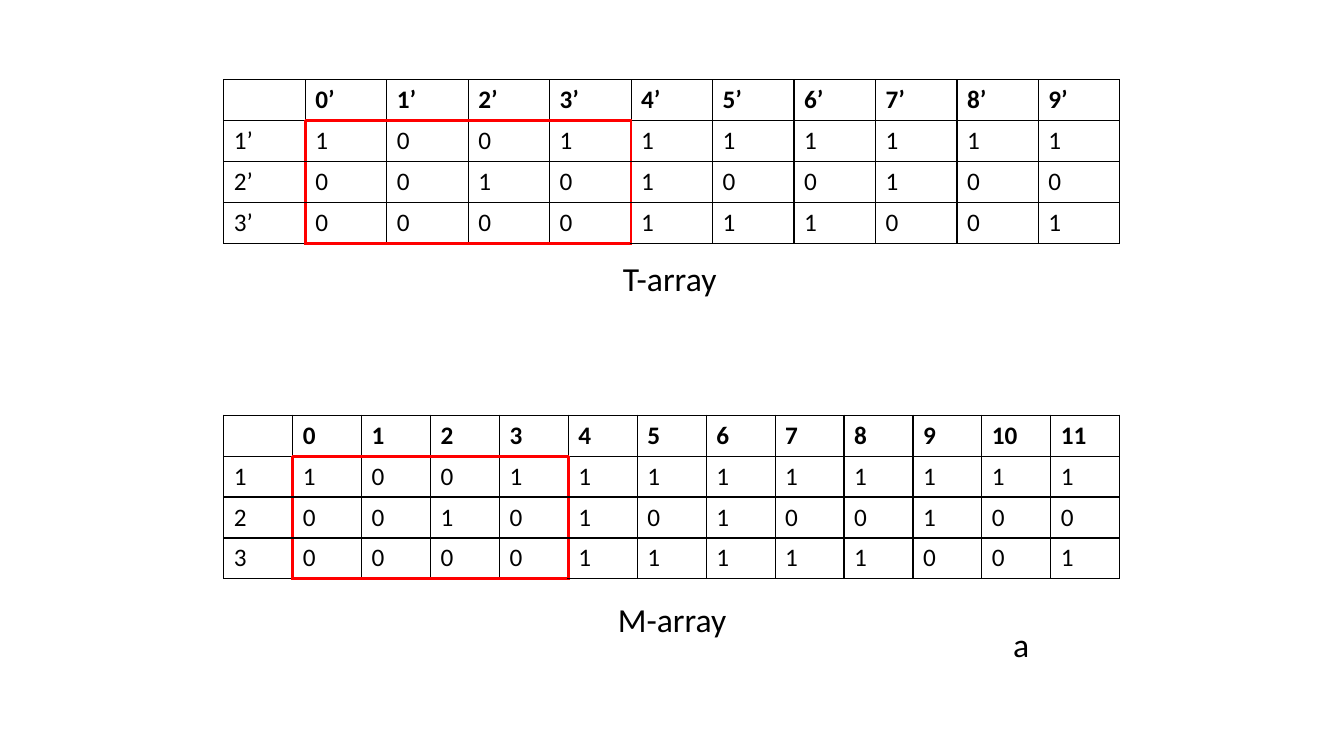
from lxml import etree
from pptx import Presentation
from pptx.dml.color import RGBColor
from pptx.enum.text import MSO_AUTO_SIZE as AutoSize
from pptx.oxml.ns import qn
from pptx.util import Inches, Pt

COLORS = {"text": "000000", "grid": "000000", "frame": "FF0000"}
FONT = "Calibri"
TABLE_LEFT, TABLE_WIDTH, ROW_HEIGHT = 2.22, 8.89, 0.405
FRAME_ROWS = range(1, 4)
FRAME_COLUMNS = range(1, 5)

T_ARRAY = [
    ["", "0’", "1’", "2’", "3’", "4’", "5’", "6’", "7’", "8’", "9’"],
    ["1’", *"1001111111"],
    ["2’", *"0010100100"],
    ["3’", *"0000111001"],
]
M_ARRAY = [
    ["", "0", "1", "2", "3", "4", "5", "6", "7", "8", "9", "10", "11"],
    ["1", *"100111111111"],
    ["2", *"001010100100"],
    ["3", *"000011111001"],
]


def format_text(text_frame, size, bold=False):
    for paragraph in text_frame.paragraphs:
        for run in paragraph.runs:
            run.font.name = FONT
            run.font.size = Pt(size)
            run.font.bold = bold
            run.font.color.rgb = RGBColor.from_string(COLORS["text"])


def add_border(cell, side, framed):
    color, width = (COLORS["frame"], 2.25) if framed else (COLORS["grid"], 1)
    properties = cell._tc.get_or_add_tcPr()
    line = etree.SubElement(properties, qn(f"a:ln{side}"), w=str(Pt(width)))
    fill = etree.SubElement(line, qn("a:solidFill"))
    etree.SubElement(fill, qn("a:srgbClr"), val=color)


def add_borders(cell, row, column):
    row_edges = (FRAME_ROWS.start, FRAME_ROWS.stop)
    column_edges = (FRAME_COLUMNS.start, FRAME_COLUMNS.stop)
    for side, edge in (("L", column), ("R", column + 1)):
        add_border(cell, side, row in FRAME_ROWS and edge in column_edges)
    for side, edge in (("T", row), ("B", row + 1)):
        add_border(cell, side, column in FRAME_COLUMNS and edge in row_edges)


def add_array(slide, top, values):
    row_count, column_count = len(values), len(values[0])
    table = slide.shapes.add_table(
        row_count, column_count, Inches(TABLE_LEFT), Inches(top),
        Inches(TABLE_WIDTH), Inches(ROW_HEIGHT * row_count)).table
    table.first_row = False
    table.horz_banding = False
    for row, texts in enumerate(values):
        for column, text in enumerate(texts):
            cell = table.cell(row, column)
            cell.text_frame.text = text
            format_text(cell.text_frame, 18, bold=row == 0)
            add_borders(cell, row, column)
            cell.fill.background()


def add_label(slide, left, top, width, text):
    box = slide.shapes.add_textbox(
        Inches(left), Inches(top), Inches(width), Inches(0.5))
    text_frame = box.text_frame
    text_frame.text = text
    text_frame.word_wrap = False
    text_frame.auto_size = AutoSize.SHAPE_TO_FIT_TEXT
    format_text(text_frame, 24)


def main():
    presentation = Presentation()
    presentation.slide_width = Inches(13.33)
    presentation.slide_height = Inches(7.5)
    slide = presentation.slides.add_slide(presentation.slide_layouts[6])
    add_array(slide, 0.79, T_ARRAY)
    add_array(slide, 4.12, M_ARRAY)
    add_label(slide, 6.08, 2.51, 1.17, "T-array")
    add_label(slide, 6.03, 5.89, 1.28, "M-array")
    add_label(slide, 9.95, 6.14, 0.32, "a")
    presentation.save("out.pptx")


main()
